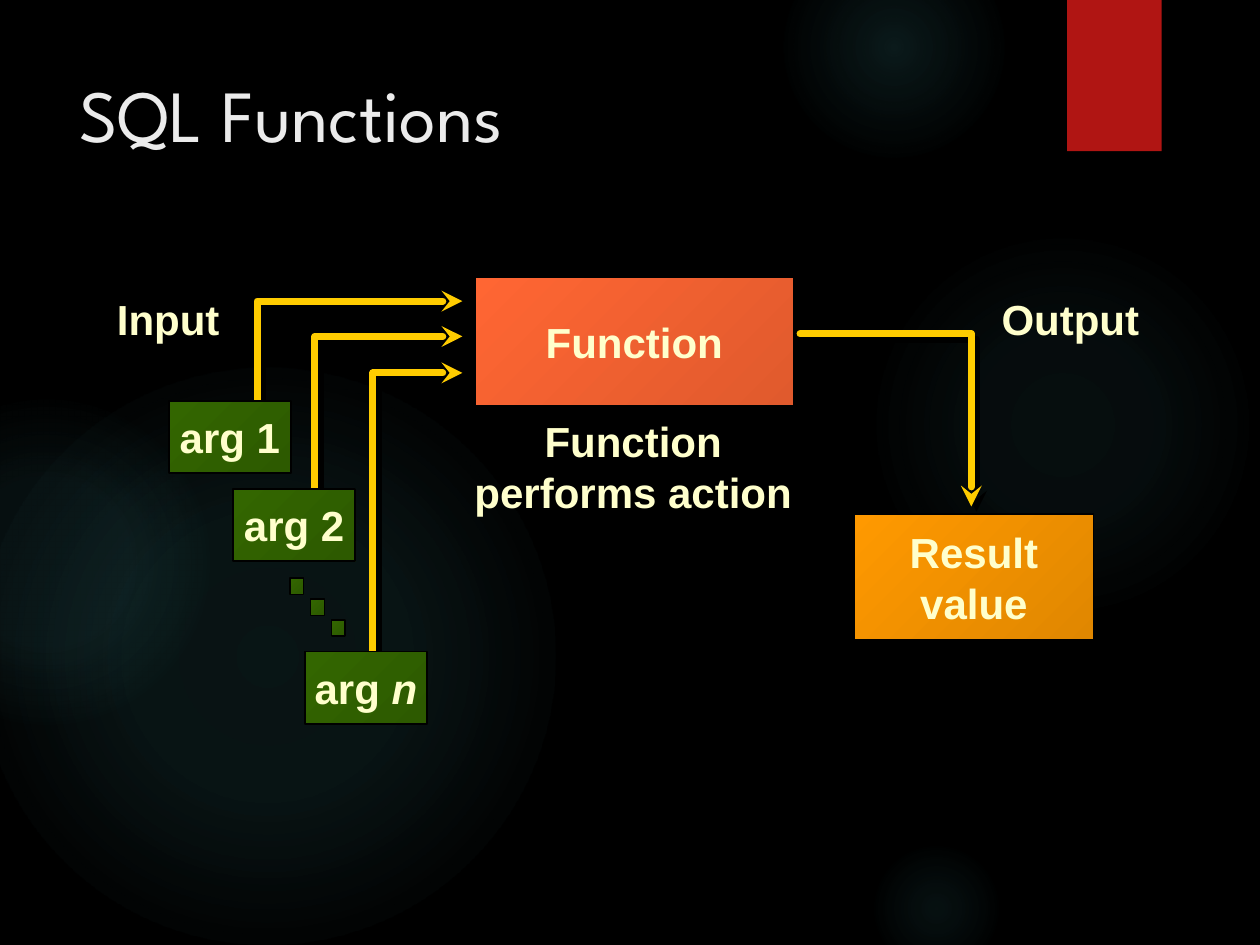
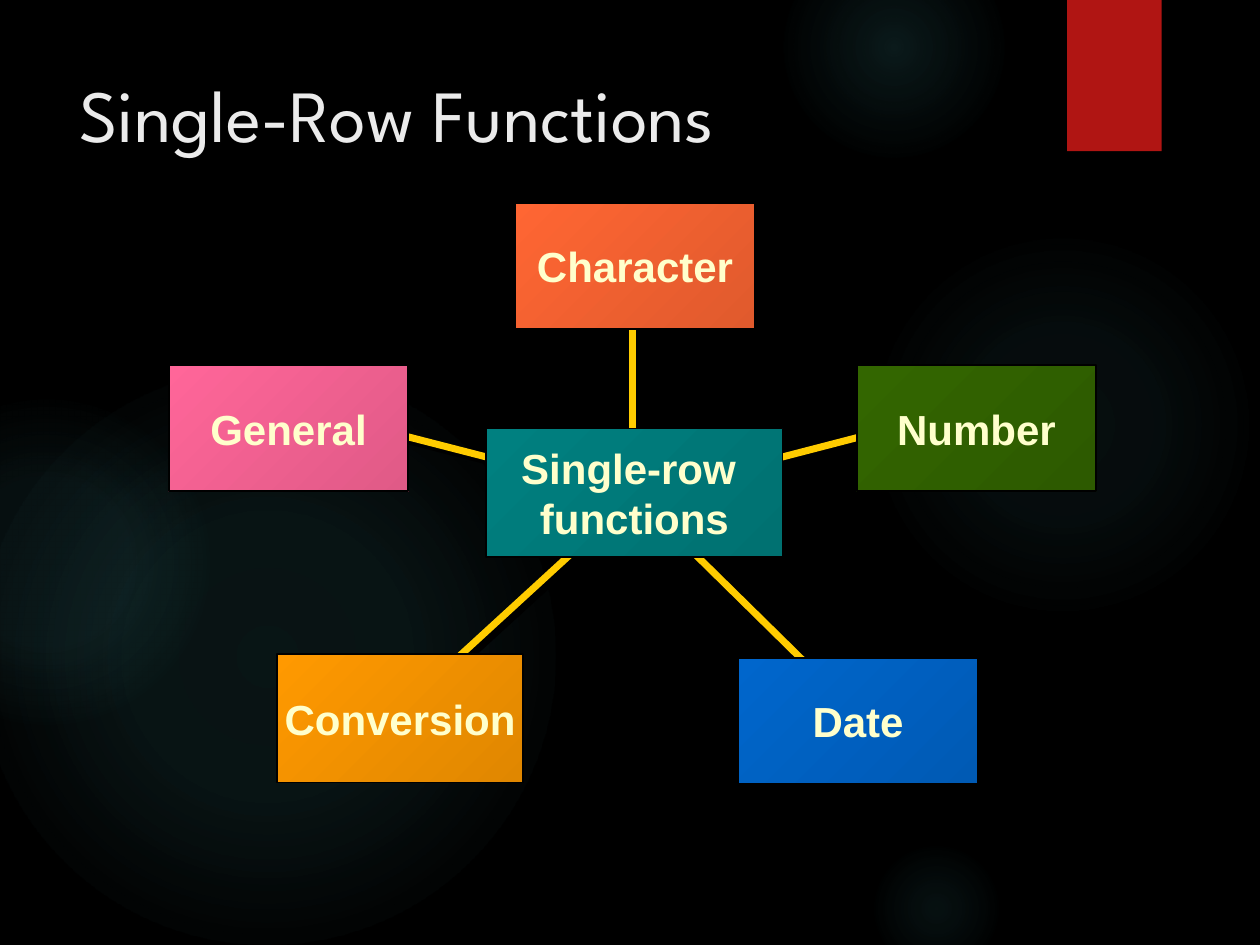
from dataclasses import dataclass
from lxml.etree import SubElement
from pptx import Presentation
from pptx.dml.color import RGBColor
from pptx.enum.shapes import MSO_CONNECTOR, MSO_SHAPE
from pptx.enum.text import MSO_ANCHOR, MSO_AUTO_SIZE, PP_ALIGN
from pptx.oxml import parse_xml
from pptx.oxml.ns import nsdecls, qn
from pptx.util import Inches, Pt

COLS, ROWS = 100, 75  # the grid that covers a slide
UNIT = Inches(10) // COLS

BLACK = RGBColor(0x00, 0x00, 0x00)
WHITE = RGBColor(0xEB, 0xEB, 0xEB)
CREAM = RGBColor(0xFF, 0xFF, 0xCC)
GOLD = RGBColor(0xFF, 0xCC, 0x00)
RED = RGBColor(0xB0, 0x15, 0x13)
CORAL = RGBColor(0xFF, 0x66, 0x33)
GREEN = RGBColor(0x33, 0x66, 0x00)
ORANGE = RGBColor(0xFF, 0x99, 0x00)
BLUE = RGBColor(0x00, 0x66, 0xCC)
PINK = RGBColor(0xFF, 0x66, 0x99)
TEAL = RGBColor(0x00, 0x80, 0x80)
AQUA = RGBColor(0x50, 0xB9, 0xC1)

TITLE_FONT, BODY_FONT = "League Spartan", "Arial"
SHADE = 0.88  # brightness at the far corner of a box

# left, top, size, then (stop, alpha) pairs in percent
GLOWS = [
    (68.9, 18.3, 30.8, [(0, 7), (36, 6), (69, 0)]),
    (62.2, -5, 17.5, [(0, 14), (36, 7), (73, 0)]),
    (68.9, 66.7, 10.8, [(0, 9), (36, 5), (66, 0)]),
    (-1.7, 29.2, 45.8, [(0, 11), (36, 10), (75, 0)]),
    (-9.2, 31.7, 25.8, [(0, 8), (36, 8), (72, 0)]),
]


def grid(*cells):
    return [round(cell * UNIT) for cell in cells]


@dataclass
class Box:
    """A region of the grid, in columns and rows."""
    left: float
    top: float
    wide: float
    high: float

    def point(self, x, y):
        return grid(self.left + x, self.top + y)

    def area(self, x, y, wide, high):
        return self.point(x, y) + grid(wide, high)


def fill_glow(shape, stops):
    marks = "".join(
        f'<a:gs pos="{pos * 1000}"><a:srgbClr val="{AQUA}">'
        f'<a:alpha val="{alpha * 1000}"/></a:srgbClr></a:gs>'
        for pos, alpha in stops)
    shape.fill.background()
    old = shape.element.spPr.find(qn("a:noFill"))
    old.getparent().replace(old, parse_xml(
        f'<a:gradFill {nsdecls("a")} rotWithShape="1"><a:gsLst>{marks}</a:gsLst>'
        '<a:path path="circle"><a:fillToRect l="50000" t="50000" r="50000" b="50000"/>'
        '</a:path></a:gradFill>'))


def set_theme(layout, slide):
    """Move the backdrop to the layout, so that every slide shows it."""
    layout.background.fill.solid()
    layout.background.fill.fore_color.rgb = BLACK
    shapes = []
    for left, top, size, stops in GLOWS:
        glow = slide.shapes.add_shape(MSO_SHAPE.OVAL, *grid(left, top, size, size))
        fill_glow(glow, stops)
        shapes.append(glow)
    tab = slide.shapes.add_shape(MSO_SHAPE.RECTANGLE, *grid(84.7, 0, 7.5, 12))
    tab.fill.solid()
    tab.fill.fore_color.rgb = RED
    shapes.append(tab)
    for shape in shapes:
        shape.line.fill.background()
        shape.shadow.inherit = False
        layout.shapes.element.append(shape.element)


def set_title(slide, text):
    title = slide.shapes.title
    title.left, title.top, title.width, title.height = grid(5.3, 5, 77.2, 15.3)
    frame = title.text_frame
    frame.text = text
    frame.auto_size = MSO_AUTO_SIZE.NONE
    frame.vertical_anchor = MSO_ANCHOR.TOP
    para = frame.paragraphs[0]
    para.alignment = PP_ALIGN.LEFT
    para.font.name, para.font.size = TITLE_FONT, Pt(42)
    para.font.color.rgb = WHITE


def write(frame, text, align=PP_ALIGN.CENTER, wrap=False):
    frame.text = text
    frame.word_wrap = wrap
    for para in frame.paragraphs:
        para.alignment = align
        font = para.font
        font.name, font.size, font.bold = BODY_FONT, Pt(24), True
        font.color.rgb = CREAM


def add_label(slide, place, text, **style):
    write(slide.shapes.add_textbox(*place).text_frame, text, **style)


def add_block(slide, place, color, text=""):
    block = slide.shapes.add_shape(MSO_SHAPE.RECTANGLE, *place)
    block.shadow.inherit = False
    block.fill.gradient()
    block.fill.gradient_angle = 315
    start, end = block.fill.gradient_stops
    start.color.rgb = color
    end.color.rgb = RGBColor(*(round(tone * SHADE) for tone in color))
    start.position, end.position = 0, 1
    block.line.color.rgb = BLACK
    block.line.width = Pt(1)
    if text:
        block.text_frame.vertical_anchor = MSO_ANCHOR.MIDDLE
        write(block.text_frame, text)
    return block


def style_line(line, arrow=False):
    line.line.color.rgb = GOLD
    line.line.width = Pt(4)
    props = line.element.spPr
    stroke = props.find(qn("a:ln"))
    if arrow:
        stroke.set("cap", "rnd")
        SubElement(stroke, qn("a:round"))
        SubElement(stroke, qn("a:tailEnd"), type="stealth")
    props.append(parse_xml(
        f'<a:effectLst {nsdecls("a")}><a:outerShdw dist="53340" dir="2700000" '
        f'algn="ctr" rotWithShape="0"><a:srgbClr val="{BLACK}"/>'
        '</a:outerShdw></a:effectLst>'))


def add_arrow(slide, start, *points):
    route = slide.shapes.build_freeform(*start)
    route.add_line_segments(points, close=False)
    arrow = route.convert_to_shape()
    arrow.fill.background()
    style_line(arrow, arrow=True)


def draw_input(slide, box):
    add_label(slide, box.area(0, 0, 10.2, 5), "Input", align=PP_ALIGN.LEFT)
    for x, low, high in [(12.1, 10.7, 1.1), (21.3, 29.5, 6.8), (16.7, 16.8, 3.9)]:
        add_arrow(slide, box.point(x, low), box.point(x, high),
                  box.point(28.4, high))
    for x, y, name in [(5.1, 9, "1"), (10.2, 16, "2"), (15.9, 28.9, "n")]:
        block = add_block(slide, box.area(x, y, 9.7, 5.75), GREEN, "arg ")
        run = block.text_frame.paragraphs[0].add_run()
        run.text = name
        if name == "n":
            run.font.italic = True
    for step in range(3):
        add_block(slide, box.area(14.7 + 1.65 * step, 23.1 + 1.65 * step, 1.1, 1.3),
                  GREEN)


def draw_action(slide, box):
    add_block(slide, box.area(1.7, 0, 25.3, 10.2), CORAL, "Function")
    add_label(slide, box.area(0, 10.5, box.wide, 9), "Function performs action",
              wrap=True)


def draw_output(slide, box):
    add_arrow(slide, box.point(0, 3.7), box.point(13.6, 3.7), box.point(13.6, 17.4))
    add_label(slide, box.area(15, 0, 12.9, 5), "Output", align=PP_ALIGN.LEFT)
    add_block(slide, box.area(4.3, 18, 19, 10), ORANGE, "Result\nvalue")


def draw_wheel(slide, box):
    """Place a hub, and around it blocks that lines tie to it."""
    # name, colour, block's corner, block's size, end of its line
    spokes = [
        ("Conversion", ORANGE, (8.6, 35.8), (19.5, 10.2), (17.9, 40.7)),
        ("Character", CORAL, (27.5, 0), (19, 10), (36.8, 7.7)),
        ("Number", GREEN, (54.6, 12.9), (19, 10), (59, 17.5)),
        ("Date", BLUE, (45.2, 36.1), (19, 10), (55.3, 41.2)),
        ("General", PINK, (0, 12.9), (19, 10), (15.6, 17.7)),
    ]
    for *_, end in spokes:
        start = (36.8 if end[0] == 36.8 else 37, 23.2)
        style_line(slide.shapes.add_connector(
            MSO_CONNECTOR.STRAIGHT, *box.point(*start), *box.point(*end)))
    for name, color, corner, size, _ in spokes:
        add_block(slide, box.area(*corner, *size), color, name)
    add_block(slide, box.area(25.2, 17.9, 23.5, 10.2), TEAL,
              "Single-row \nfunctions")


def main():
    deck = Presentation()
    deck.slide_width, deck.slide_height = grid(COLS, ROWS)
    layout = deck.slide_layouts.get_by_name("Title Only")

    flow = deck.slides.add_slide(layout)
    set_theme(layout, flow)
    set_title(flow, "SQL Functions")
    draw_action(flow, Box(36, 22, 28.5, 19.5))
    draw_input(flow, Box(8.3, 22.8, 28.4, 34.7))
    draw_output(flow, Box(63.5, 22.8, 27.9, 28))

    kinds = deck.slides.add_slide(layout)
    set_title(kinds, "Single-Row Functions")
    draw_wheel(kinds, Box(13.4, 16.1, 73.6, 46.1))
    deck.save("out.pptx")


if __name__ == "__main__":
    main()
